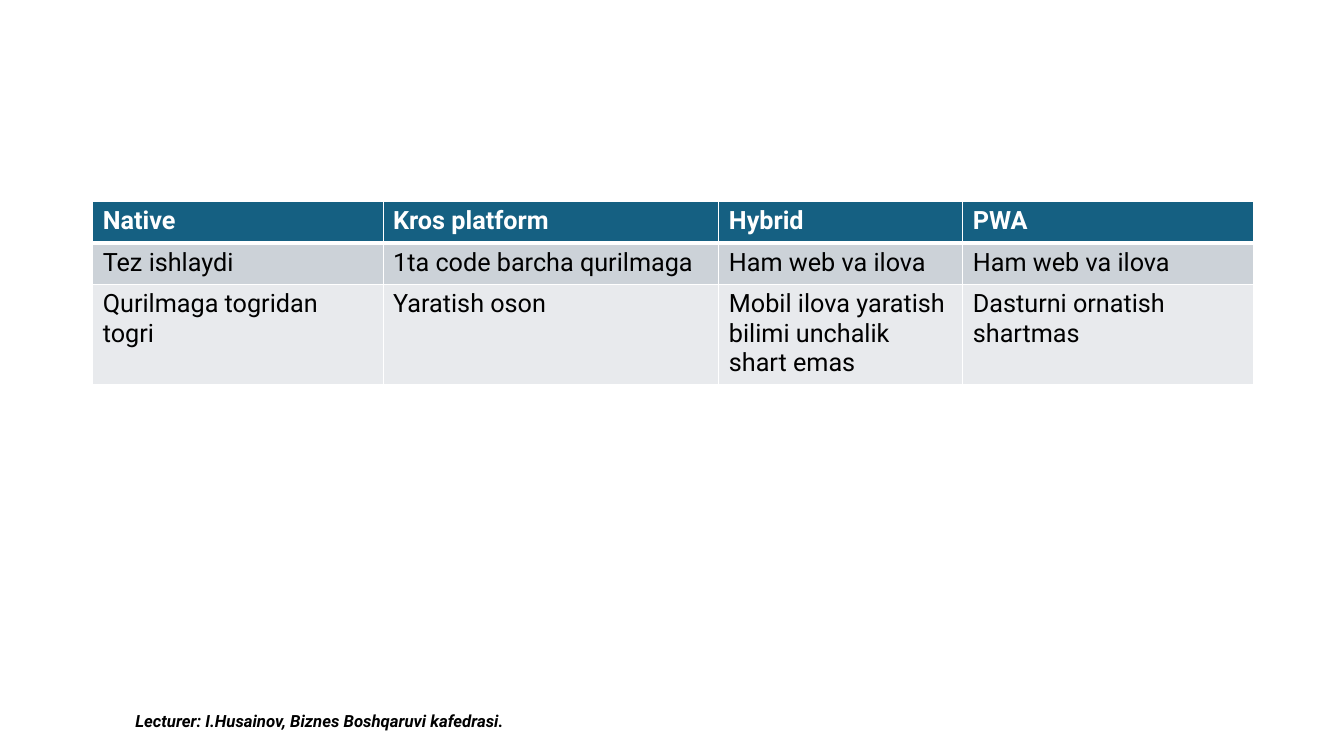
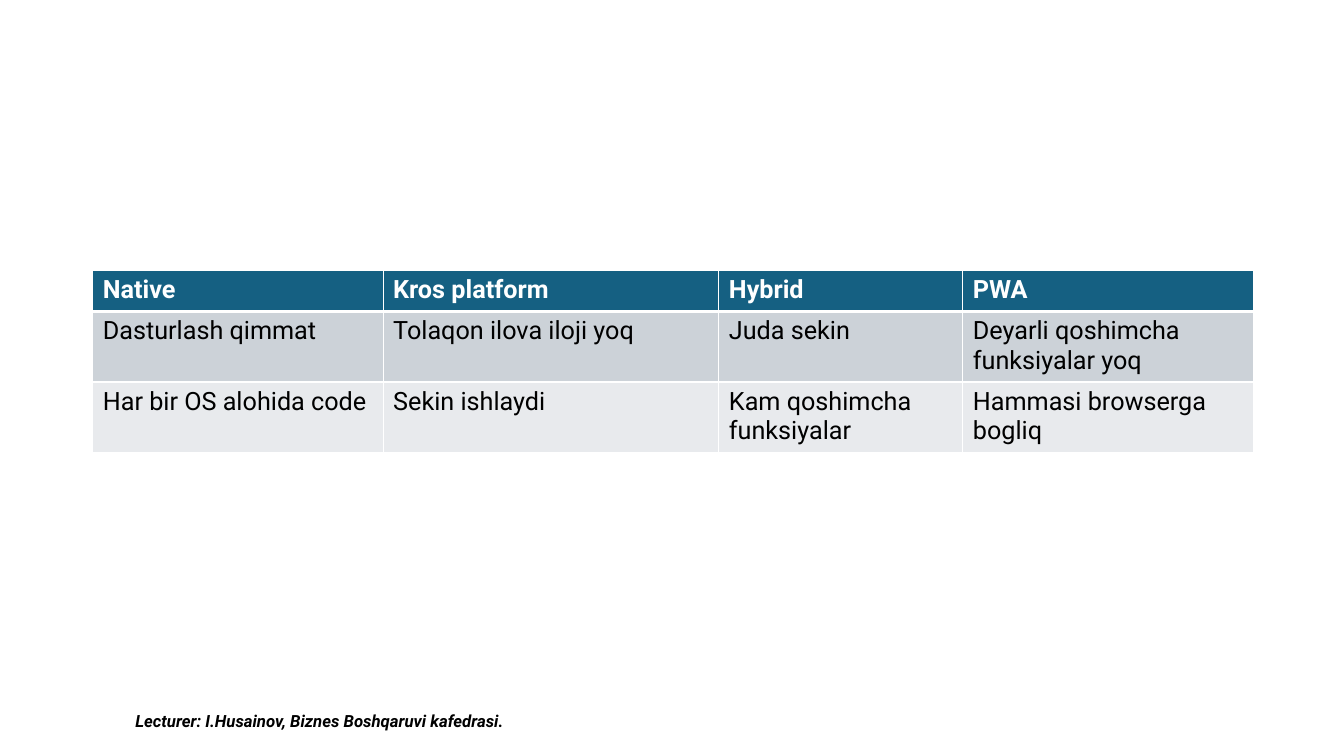
import pptx
import pptx.util
import pptx.dml.color
import pptx.enum.text
import pptx.oxml
import pptx.oxml.ns

WIDE, HIGH = 13.33, 7.5
LEFT = 0.92
FONT = "Roboto"
WHITE, BLACK = "FFFFFF", "000000"
FILLS = ["156082", "CCD2D8", "E8EAED"]
COLS = [2.88, 3.33, 2.42, 2.88]
ROW, LINE = 0.41, 0.29
FOOT = "Lecturer: I.Husainov, Biznes Boshqaruvi kafedrasi."
HEAD = ["Native", "Kros platform", "Hybrid", "PWA"]
SLIDES = [
    {
        "top": 2,
        "lines": [1, 1, 3],
        "rows": [
            ["Tez ishlaydi", "1ta code barcha qurilmaga",
             "Ham web va ilova", "Ham web va ilova"],
            ["Qurilmaga togridan togri", "Yaratish oson",
             "Mobil ilova yaratish bilimi unchalik shart emas",
             "Dasturni ornatish shartmas"],
        ],
    },
    {
        "top": 2.68,
        "lines": [1, 2, 2],
        "rows": [
            ["Dasturlash qimmat", "Tolaqon ilova iloji yoq",
             "Juda sekin", "Deyarli qoshimcha funksiyalar yoq"],
            ["Har bir OS alohida code", "Sekin ishlaydi",
             "Kam qoshimcha funksiyalar", "Hammasi browserga bogliq"],
        ],
    },
]

inch = pptx.util.Inches


def color(code):
    return pptx.dml.color.RGBColor.from_string(code)


def style(par, size, code, bold, slant=False):
    font = par.font
    font.name, font.size = FONT, pptx.util.Pt(size)
    font.bold, font.italic = bold, slant
    font.color.rgb = color(code)


def border(cell, row):
    props = cell._tc.get_or_add_tcPr()
    thick = {(0, "B"), (1, "T")}
    for side in "LRTB":
        width = pptx.util.Pt(3 if (row, side) in thick else 1)
        props.append(pptx.oxml.parse_xml(
            f'<a:ln{side} {pptx.oxml.ns.nsdecls("a")} w="{width}">'
            f'<a:solidFill><a:srgbClr val="{WHITE}"/></a:solidFill></a:ln{side}>'))


def footer(slide):
    box = slide.shapes.add_textbox(inch(LEFT), inch(6.95), inch(4.5), inch(0.4))
    frame = box.text_frame
    frame.word_wrap = True
    frame.vertical_anchor = pptx.enum.text.MSO_ANCHOR.MIDDLE
    par = frame.paragraphs[0]
    par.text = FOOT
    par.alignment = pptx.enum.text.PP_ALIGN.CENTER
    style(par, 12, BLACK, True, True)


def grid(slide, top, lines, rows):
    tall = [ROW + LINE * (n - 1) for n in lines]
    table = slide.shapes.add_table(
        len(tall), len(COLS), inch(LEFT), inch(top),
        inch(sum(COLS)), inch(sum(tall))).table
    for col, width in zip(table.columns, COLS):
        col.width = inch(width)
    for r, texts in enumerate([HEAD] + rows):
        table.rows[r].height = inch(tall[r])
        for c, text in enumerate(texts):
            cell = table.cell(r, c)
            border(cell, r)
            cell.fill.solid()
            cell.fill.fore_color.rgb = color(FILLS[r])
            cell.text = text
            style(cell.text_frame.paragraphs[0], 18,
                  BLACK if r else WHITE, r == 0)


def main():
    deck = pptx.Presentation()
    deck.slide_width, deck.slide_height = inch(WIDE), inch(HIGH)
    for page in SLIDES:
        slide = deck.slides.add_slide(deck.slide_layouts[6])
        footer(slide)
        grid(slide, **page)
    deck.save("out.pptx")


if __name__ == "__main__":
    main()
